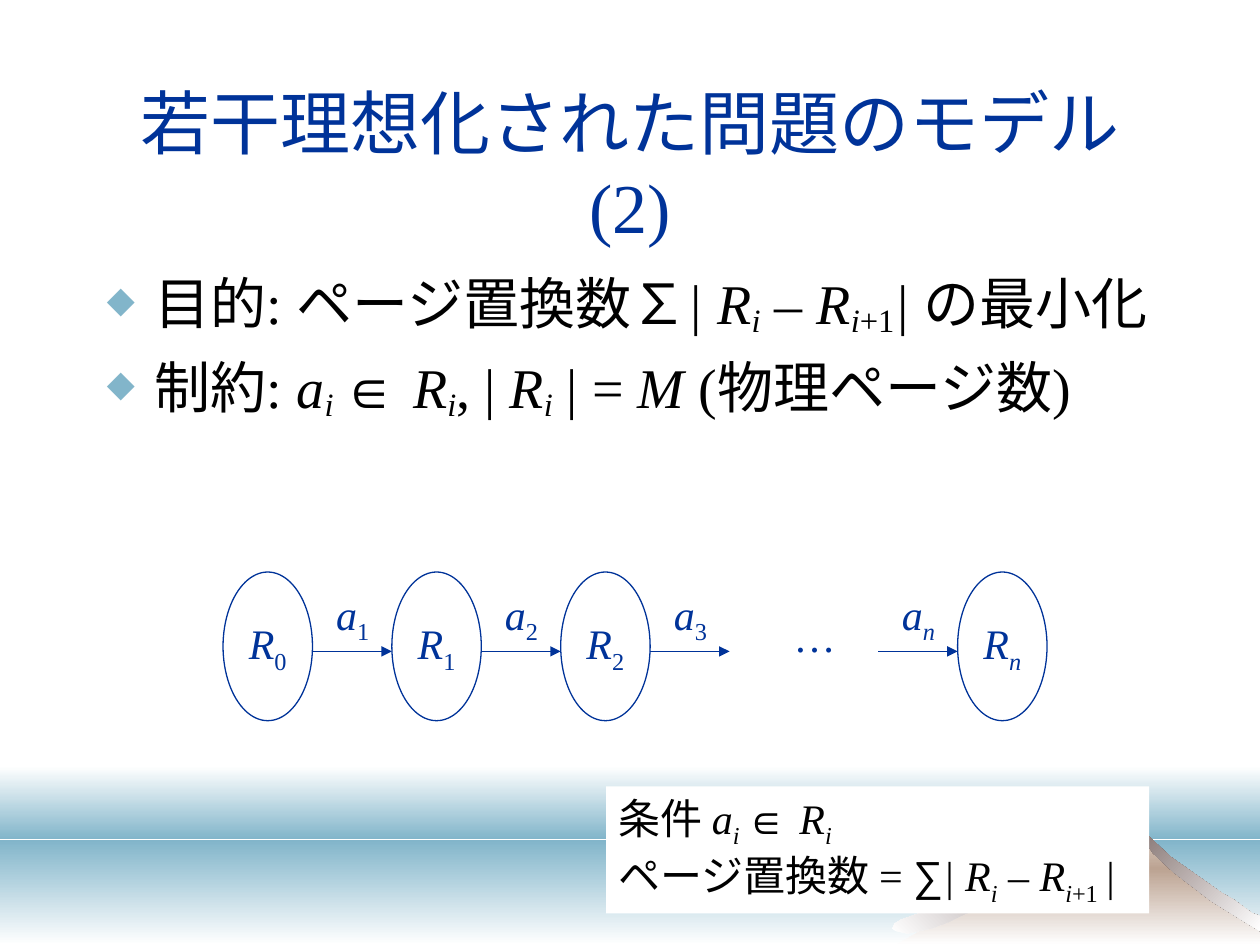
from lxml.etree import SubElement
from pptx import Presentation
from pptx.dml.color import RGBColor
from pptx.enum.lang import MSO_LANGUAGE_ID as Lang
from pptx.enum.shapes import MSO_CONNECTOR as Conn, MSO_SHAPE as Shp
from pptx.enum.text import MSO_ANCHOR as Anc, MSO_AUTO_SIZE as Fit, PP_ALIGN as Al
from pptx.oxml.ns import qn
from pptx.util import Inches, Pt

BLUE, SEA, BLACK, WHITE, BROWN, SAND = (
    "003399", "82B5CA", "000000", "FFFFFF", "6B5653", "BCA392")

# Content: runs are (text, style); i = italic, s = subscript, m = math sign font
TITLE = [[("若干理想化された問題のモデル(2)", "")]]
BODY = [
    [("目的: ページ置換数", ""), ("∑", "m"), ("| R", "i"), ("i", "is"),
     (" – R", "i"), ("i", "is"), ("+1", "s"), ("| ", "i"), ("の最小化", "")],
    [("制約: ", ""), ("a", "i"), ("i ", "is"), ("∈ ", "m"), ("R", "i"),
     ("i", "is"), (", | ", ""), ("R", "i"), ("i", "is"), (" | = ", ""),
     ("M", "i"), (" (物理ページ数)", "")],
]
NOTE = [
    [("条件 ", ""), ("a", "i"), ("i ", "is"), ("∈ ", "m"), ("R", "i"), ("i", "is")],
    [("ページ置換数 = ", ""), ("∑", "m"), ("| R", "i"), ("i", "is"),
     (" – R", "i"), ("i", "is"), ("+1 ", "s"), ("|", "i")],
]
# Chain: (index, left edge)
STEP, OVAL_W, ARROW_W = 1.34, 0.71, 0.63
OVALS = [(str(i), 1.77 + i * STEP) for i in range(3)] + [("n", 7.6)]
ARROWS = [(str(i + 1), 1.77 + i * STEP + OVAL_W) for i in range(3)]
ARROWS += [("n", 7.6 - ARROW_W)]

# Scenery: bands (top, height, stops, angle), outlines in 1/100 inch
BANDS = [(6.08, 0.58, [WHITE, SEA], 90), (6.67, 0.83, [SEA, WHITE], 90)]
HILLS = [
    ([(711, 750), (790, 705), (840, 666), (869, 637), (875, 631), (880, 629),
      (886, 629), (891, 631), (903, 657), (922, 680), (968, 712), (1000, 733),
      (1000, 750)], [WHITE, SAND, WHITE], 90),
    ([(915, 677), (931, 692), (948, 705), (961, 715), (990, 733), (1000, 739),
      (1000, 727), (994, 725), (979, 714), (970, 709), (929, 680), (912, 664),
      (904, 654), (897, 644), (892, 632), (896, 644), (901, 655), (907, 665)],
     [BROWN, WHITE], 45),
    ([(832, 668), (799, 692), (782, 702), (751, 719), (735, 723), (715, 730),
      (710, 733), (708, 737), (711, 739), (720, 741), (739, 737), (750, 733),
      (769, 724), (786, 713), (827, 681), (851, 659), (864, 643), (868, 638),
      (856, 649)], [WHITE, BROWN], 315),
]

prs = Presentation()
prs.slide_width, prs.slide_height = Inches(10), Inches(7.5)
slide = prs.slides.add_slide(prs.slide_layouts[6])
shapes = slide.shapes


def rgb(code):
    return RGBColor.from_string(code)


def shade(shape, stops, angle):
    """Fill a shape with evenly spaced gradient stops and no line."""
    shape.shadow.inherit = False
    shape.fill.gradient()
    shape.line.fill.background()
    grad = shape._element.spPr.find(qn("a:gradFill"))
    for kid in list(grad):
        grad.remove(kid)
    row = SubElement(grad, qn("a:gsLst"))
    for n, code in enumerate(stops):
        stop = SubElement(row, qn("a:gs"), pos=str(n * 100000 // (len(stops) - 1)))
        SubElement(stop, qn("a:srgbClr"), val=code)
    SubElement(grad, qn("a:lin"), ang=str(angle * 60000), scaled="0")


def write(shape, paras, size, color, base=-25, align=Al.LEFT, bullet=False, **frame):
    tf = shape.text_frame
    for key, val in {"word_wrap": False, **frame}.items():
        setattr(tf, key, val)
    for n, runs in enumerate(paras):
        p = tf.add_paragraph() if n else tf.paragraphs[0]
        p.alignment = align
        if bullet:
            pr = p._p.get_or_add_pPr()
            pr.set("marL", str(Inches(0.38)))
            pr.set("indent", str(-Inches(0.38)))
            SubElement(SubElement(pr, qn("a:buClr")), qn("a:srgbClr"), val=SEA)
            SubElement(pr, qn("a:buSzPct"), val="65000")
            SubElement(pr, qn("a:buChar"), char="◆")
            p.space_before = Pt(8 if n else 0)
        for text, style in runs:
            run = p.add_run()
            run.text = text
            font = {"name": "Arial" if "m" in style else "Times New Roman",
                    "size": Pt(size), "italic": "i" in style,
                    "language_id": Lang.JAPANESE}
            for key, val in font.items():
                setattr(run.font, key, val)
            run.font.color.rgb = rgb(color)
            if "s" in style:
                run._r.get_or_add_rPr().set("baseline", str(base * 1000))


def place(kind, x, y, w, h):
    spot = [Inches(v) for v in (x, y, w, h)]
    if kind is None:
        return shapes.add_textbox(*spot)
    shape = shapes.add_shape(kind, *spot)
    shape.shadow.inherit = False
    return shape


def solid(shape):
    shape.fill.solid()
    shape.fill.fore_color.rgb = rgb(WHITE)
    shape.line.fill.background()


def term(name, mark):
    return [[(name, "i"), (mark, "is" if mark == "n" else "s")]]


# Scenery
for top, high, stops, angle in BANDS:
    shade(place(Shp.RECTANGLE, 0, top, 10, high), stops, angle)
for pts, stops, angle in HILLS:
    pen = shapes.build_freeform(*pts[0], scale=9144.0)
    pen.add_line_segments(pts[1:], close=True)
    shade(pen.convert_to_shape(), stops, angle)

# Title, body and note
write(place(None, 0.75, 0.67, 8.5, 1.25), TITLE, 40, BLUE, align=Al.CENTER,
      word_wrap=True, vertical_anchor=Anc.MIDDLE)
write(place(None, 0.75, 2.08, 8.5, 4.5), BODY, 32, BLACK, base=-14,
      bullet=True, word_wrap=True)
note = place(Shp.RECTANGLE, 4.81, 6.24, 4.31, 1.01)
solid(note)
write(note, NOTE, 24, BLACK, vertical_anchor=Anc.TOP)

# Chain of page sets
for mark, x in OVALS:
    oval = place(Shp.OVAL, x, 4.54, OVAL_W, 1.18)
    solid(oval)
    oval.line.color.rgb = rgb(BLUE)
    oval.line.width = Pt(0.75)
    write(oval, term("R", mark), 24, BLUE, align=Al.CENTER,
          vertical_anchor=Anc.MIDDLE)

for mark, x in ARROWS:
    y = Inches(5.17)
    arrow = shapes.add_connector(Conn.STRAIGHT, Inches(x), y, Inches(x + ARROW_W), y)
    arrow.line.color.rgb = rgb(BLUE)
    arrow.line.width = Pt(0.75)
    SubElement(arrow.line._get_or_add_ln(), qn("a:tailEnd"), type="triangle")
    SubElement(arrow._element.spPr, qn("a:effectLst"))
    write(place(None, x + 0.09, 4.62, 0.46, 0.56), term("a", mark), 24, BLUE,
          auto_size=Fit.SHAPE_TO_FIT_TEXT)

write(place(None, 6.2, 4.8, 0.53, 0.5), [[("…", "")]], 24, BLUE,
      auto_size=Fit.SHAPE_TO_FIT_TEXT)

prs.save("out.pptx")
